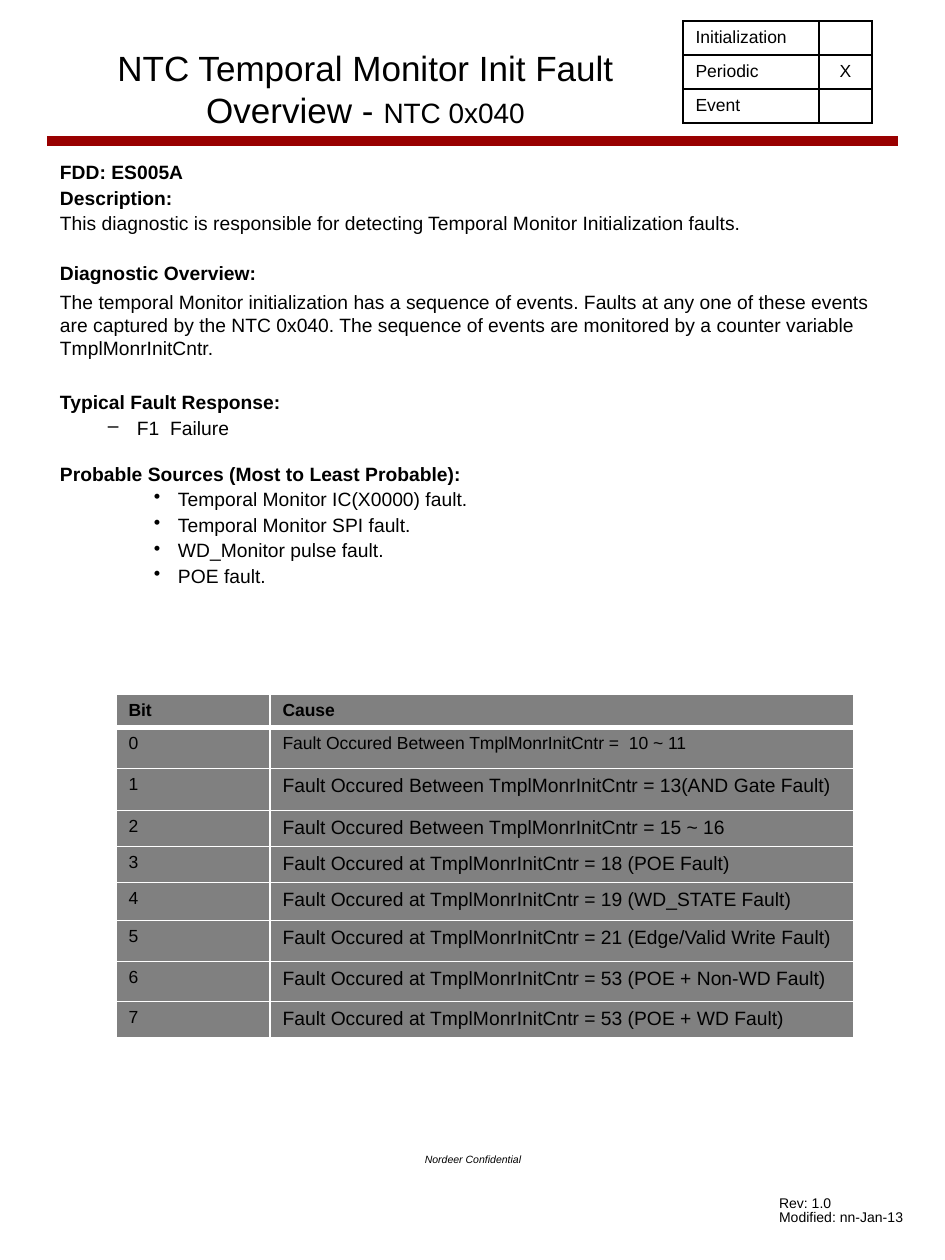
from dataclasses import dataclass

import pptx
import pptx.dml.color
import pptx.enum.shapes
import pptx.enum.text
import pptx.oxml
import pptx.oxml.ns
import pptx.slide
import pptx.table
import pptx.text.text
import pptx.util
from lxml import etree

RGBColor = pptx.dml.color.RGBColor
BLACK = RGBColor(0, 0, 0)
WHITE = RGBColor(255, 255, 255)
GREY = RGBColor(128, 128, 128)
DARK_RED = RGBColor(153, 0, 0)

ALIGN = pptx.enum.text.PP_ALIGN
ANCHOR = pptx.enum.text.MSO_ANCHOR
FONT = "Arial"
PX_PER_INCH = 126


@dataclass
class Box:
    left: int
    top: int
    width: int
    height: int


@dataclass
class Line:
    """One body paragraph; before is the space above it in points."""
    text: str
    bold: bool = False
    before: float = 2.75
    spacing: float = 0.9
    bullet: str = ""
    margin: int = 0
    hanging: int = 0


@dataclass
class Cell:
    text: str = ""
    size: int = 10
    bold: bool = False
    align: ALIGN = ALIGN.LEFT


@dataclass
class Grid:
    left: int
    top: int
    columns: list[int]
    heights: list[int]
    rows: list[list[Cell]]
    fill: RGBColor
    border: RGBColor
    header_rule: int = 1


def heading(text: str, before: float = 2.75) -> Line:
    return Line(text, bold=True, before=before)


def source(text: str) -> Line:
    return Line(text, bullet="•", margin=118, hanging=24)


BODY = [
    heading("FDD: ES005A"),
    heading("Description:"),
    Line("This diagnostic is responsible for detecting Temporal Monitor Initialization faults."),
    heading("Diagnostic Overview:", 16.75),
    Line("The temporal Monitor initialization has a sequence of events. Faults at any one of "
         "these events are captured by the NTC 0x040. The sequence of events are monitored by "
         "a counter variable TmplMonrInitCntr.", spacing=1.0),
    Line("Typical Fault Response:", bold=True, before=18, spacing=1.0),
    Line("F1  Failure", bullet="–", margin=77, hanging=29),
    heading("Probable Sources (Most to Least Probable):", 14.25),
    source("Temporal Monitor IC(X0000) fault."),
    source("Temporal Monitor SPI fault."),
    source("WD_Monitor pulse fault."),
    source("POE fault."),
]

CAUSES = [
    "Fault Occured Between TmplMonrInitCntr =  10 ~ 11",
    "Fault Occured Between TmplMonrInitCntr = 13(AND Gate Fault)",
    "Fault Occured Between TmplMonrInitCntr = 15 ~ 16",
    "Fault Occured at TmplMonrInitCntr = 18 (POE Fault)",
    "Fault Occured at TmplMonrInitCntr = 19 (WD_STATE Fault)",
    "Fault Occured at TmplMonrInitCntr = 21 (Edge/Valid Write Fault)",
    "Fault Occured at TmplMonrInitCntr = 53 (POE + Non-WD Fault)",
    "Fault Occured at TmplMonrInitCntr = 53 (POE + WD Fault)",
]

TIMING_GRID = Grid(
    683, 21, [136, 53], [34, 34, 34],
    [[Cell("Initialization"), Cell()],
     [Cell("Periodic"), Cell("X", align=ALIGN.CENTER)],
     [Cell("Event"), Cell()]],
    WHITE, BLACK)

CAUSE_GRID = Grid(
    116, 694, [154, 584], [32, 41, 42, 36, 36, 38, 41, 40, 35],
    [[Cell("Bit", bold=True), Cell("Cause", bold=True)]]
    + [[Cell(str(bit)), Cell(cause, size=11 if bit else 10)] for bit, cause in enumerate(CAUSES)],
    GREY, WHITE, header_rule=3)


def px(length: int) -> pptx.util.Emu:
    return pptx.util.Emu(round(length * 914400 / PX_PER_INCH))


def style_font(font: pptx.text.text.Font, size: int, bold: bool = False) -> None:
    font.name = FONT
    font.size = pptx.util.Pt(size)
    font.bold = bold
    font.color.rgb = BLACK


def add_text_frame(slide: pptx.slide.Slide, box: Box, inset: tuple[int, int] = (10, 5)):
    shape = slide.shapes.add_textbox(px(box.left), px(box.top), px(box.width), px(box.height))
    frame = shape.text_frame
    frame.word_wrap = True
    frame.margin_left = frame.margin_right = px(inset[0])
    frame.margin_top = frame.margin_bottom = px(inset[1])
    return frame


def add_title(slide: pptx.slide.Slide) -> None:
    frame = add_text_frame(slide, Box(48, 21, 635, 136))
    frame.vertical_anchor = ANCHOR.MIDDLE
    paragraph = frame.paragraphs[0]
    paragraph.alignment = ALIGN.CENTER
    paragraph.text = "NTC Temporal Monitor Init Fault\vOverview - "
    style_font(paragraph.font, 20)
    code = paragraph.add_run()
    code.text = "NTC 0x040"
    code.font.size = pptx.util.Pt(16)


def add_lines(frame: pptx.text.text.TextFrame, lines: list[Line], size: int) -> None:
    for index, line in enumerate(lines):
        paragraph = frame.add_paragraph() if index else frame.paragraphs[0]
        paragraph.text = line.text
        paragraph.line_spacing = line.spacing
        paragraph.space_before = pptx.util.Pt(line.before)
        style_font(paragraph.font, size, line.bold)
        if line.bullet:
            properties = paragraph._p.get_or_add_pPr()
            properties.set("marL", str(px(line.margin)))
            properties.set("indent", str(-px(line.hanging)))
            bullet = pptx.oxml.parse_xml(
                f'<a:buChar {pptx.oxml.ns.nsdecls("a")} char="{line.bullet}"/>')
            properties.find(pptx.oxml.ns.qn("a:defRPr")).addprevious(bullet)


def set_border(cell: pptx.table._Cell, side: str, color: RGBColor, points: int) -> None:
    line = pptx.oxml.parse_xml(
        f'<a:{side} {pptx.oxml.ns.nsdecls("a")} w="{pptx.util.Pt(points)}">'
        f'<a:solidFill><a:srgbClr val="{color}"/></a:solidFill></a:{side}>')
    cell._tc.get_or_add_tcPr().append(line)


def add_grid(slide: pptx.slide.Slide, grid: Grid) -> None:
    table = slide.shapes.add_table(
        len(grid.rows), len(grid.columns), px(grid.left), px(grid.top),
        px(sum(grid.columns)), px(sum(grid.heights))).table
    table.first_row = table.horz_banding = False
    for column, width in zip(table.columns, grid.columns):
        column.width = px(width)
    for row_index, (height, row) in enumerate(zip(grid.heights, grid.rows)):
        table.rows[row_index].height = px(height)
        for column_index, content in enumerate(row):
            cell = table.cell(row_index, column_index)
            paragraph = cell.text_frame.paragraphs[0]
            paragraph.text = content.text
            paragraph.alignment = content.align
            style_font(paragraph.font, content.size, content.bold)
            etree.SubElement(paragraph._p, pptx.oxml.ns.qn("a:endParaRPr"),
                             sz=str(content.size * 100))
            for side, edge_row in (("lnL", None), ("lnR", None), ("lnT", 1), ("lnB", 0)):
                points = grid.header_rule if row_index == edge_row else 1
                set_border(cell, side, grid.border, points)
            cell.fill.solid()
            cell.fill.fore_color.rgb = grid.fill


def add_rule(slide: pptx.slide.Slide) -> None:
    rule = slide.shapes.add_connector(
        pptx.enum.shapes.MSO_CONNECTOR.STRAIGHT, px(47), px(141), px(898), px(141))
    rule.line.color.rgb = DARK_RED
    rule.line.width = pptx.util.Pt(6)
    etree.SubElement(rule._element.spPr, pptx.oxml.ns.qn("a:effectLst"))


def main() -> None:
    presentation = pptx.Presentation()
    presentation.slide_width, presentation.slide_height = px(945), px(1260)
    slide = presentation.slides.add_slide(presentation.slide_layouts[6])
    add_rule(slide)
    footer = add_text_frame(slide, Box(323, 1148, 300, 87)).paragraphs[0]
    footer.text = "Nordeer Confidential"
    footer.alignment = ALIGN.CENTER
    style_font(footer.font, 6)
    footer.font.italic = True
    add_title(slide)
    add_lines(add_text_frame(slide, Box(50, 158, 845, 976)), BODY, 11)
    revision = [Line(text, before=4.5, spacing=0.4) for text in ("Rev: 1.0", "Modified: nn-Jan-13")]
    add_lines(add_text_frame(slide, Box(766, 1197, 158, 35), (13, 6)), revision, 8)
    add_grid(slide, TIMING_GRID)
    add_grid(slide, CAUSE_GRID)
    presentation.save("out.pptx")


if __name__ == "__main__":
    main()
